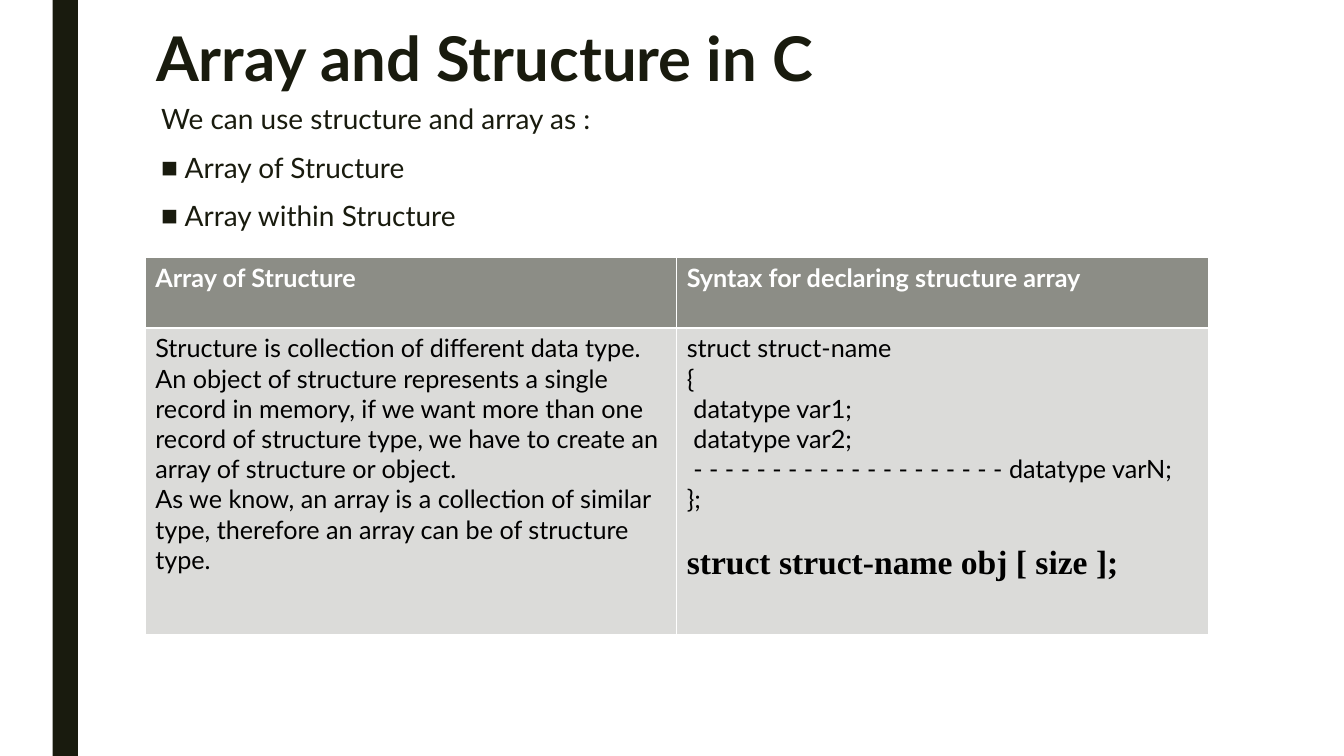
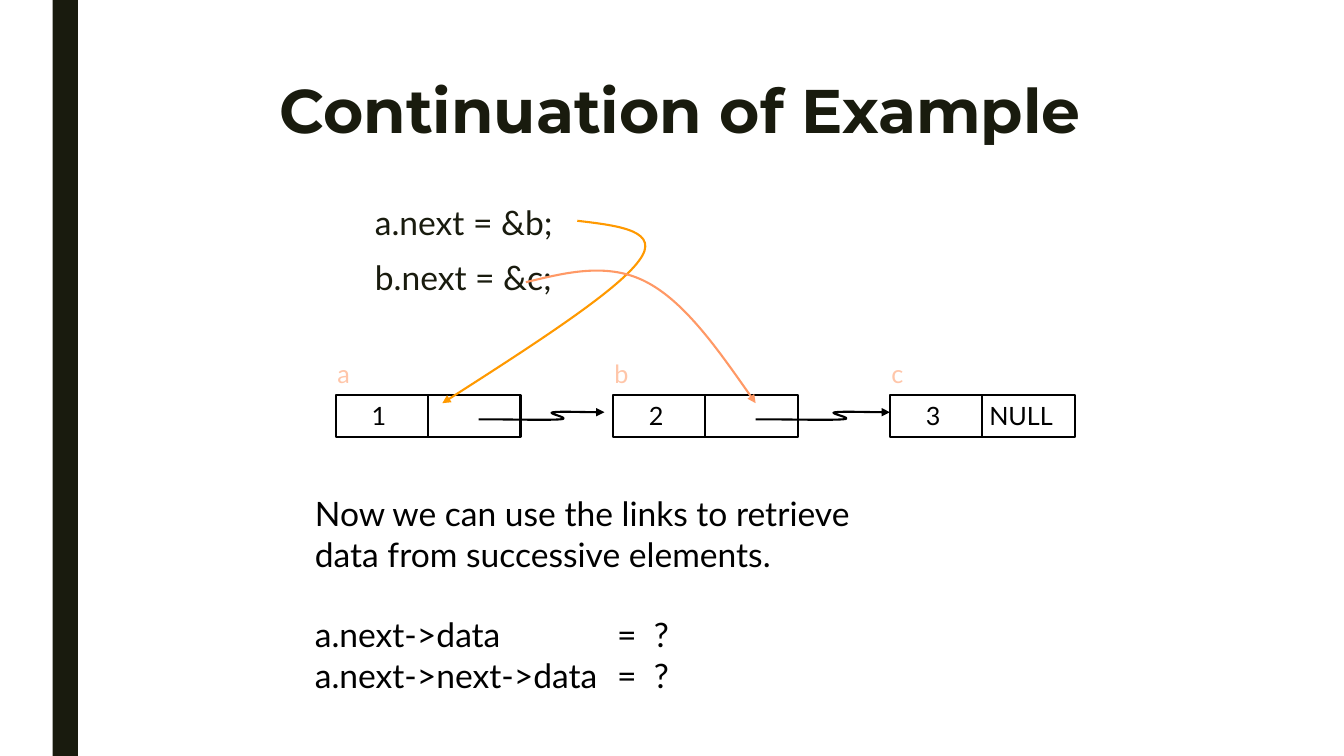
from dataclasses import dataclass, replace

from lxml import etree
from pptx import Presentation
from pptx import util as u
from pptx.dml.color import RGBColor
from pptx.enum import shapes, text
from pptx.oxml.ns import qn

UNIT = u.Inches(1) / 12  # one column or row of the layout grid
INK, BLACK, WHITE = "191B0E", "000000", "FFFFFF"
HEADER_GRAY, CELL_GRAY = "8C8D86", "DBDBD9"
PEACH, AMBER, CORAL = "FFC6A9", "FF9900", "FF9966"
LINE_WIDTH = 1.5


@dataclass(frozen=True)
class Box:
    """A place on the grid, in columns and rows."""
    col: float
    row: float
    cols: float
    rows: float

    @property
    def emu(self) -> tuple:
        return tuple(grid(n) for n in (self.col, self.row, self.cols, self.rows))


@dataclass(frozen=True)
class Para:
    words: str
    size: float = 18
    color: str = BLACK
    font: str = "Lato"
    bold: bool = False
    align: object = None
    spacing: float | None = None
    before: float = 0
    after: float = 0
    margin: float = 0
    hanging: float = 0
    bullet: str = ""


@dataclass(frozen=True)
class Node:
    label: str
    value: str
    link: str = ""


TITLE = Para("", 44, INK, bold=True, spacing=0.89)
BODY = Para("", 20, INK, spacing=0.94, before=10, after=2)
BULLET = replace(BODY, margin=2.8, hanging=2.8, bullet="■")
ASSIGNMENT = replace(BODY, size=24, margin=2.05)
HEADING = Para("", color=WHITE, bold=True)
CODE = Para("", margin=0.8)
NOTE = Para("", 24)

TABLE_BOX = Box(17.3, 30.63, 126.6, 44.9)
TABLE_ROWS = (8.4, 36.5)
TABLE_TEXT = (
    ([replace(HEADING, words="Array of Structure")],
     [replace(HEADING, words="Syntax for declaring structure array")]),
    ([Para("Structure is collection of different data type. An object of structure "
           "represents a single record in memory, if we want more than one record of "
           "structure type, we have to create an array of structure or object."),
      Para("As we know, an array is a collection of similar type, therefore an array "
           "can be of structure type.")],
     [Para("struct struct-name"),
      Para("{"),
      replace(CODE, words="datatype var1;"),
      replace(CODE, words="datatype var2;"),
      replace(CODE, words="- - - - - - - - - - - - - - - - - - - - datatype varN;"),
      Para("};"),
      Para("struct struct-name obj [ size ];", 24, font="Times New Roman",
           bold=True, before=21.6)]),
)

NODES = (Node("a", "1"), Node("b", "2"), Node("c", "3", "NULL"))
NODE_COL, NODE_ROW, NODE_PITCH = 40, 47, 33
NODE_COLS, NODE_ROWS = 22, 5
LINK_ENDS = ((57, 72), (90, 106))
# Bezier points of a link: share of its length, grid row
LINK_WAVE = ((0, 49.92), (0.27, 49.92), (0.55, 50.04), (0.65, 49.92), (0.75, 49.8),
             (0.53, 49.2), (0.59, 49.08), (0.65, 48.96), (0.83, 49.08), (1, 49.08))
POINTERS = (
    (AMBER, ((68.76, 26.28), (73.8, 26.88), (78.84, 27.48), (76.08, 31.08),
             (73.44, 34.68), (63, 41.4), (52.68, 48))),
    (CORAL, ((62.64, 33.6), (67.56, 32.4), (72.48, 31.2), (77.04, 33.6),
             (81.6, 36), (85.8, 42), (90, 48))),
)


def grid(n: float) -> int:
    return round(n * UNIT)


def rgb(color: str) -> RGBColor:
    return RGBColor.from_string(color)


def add_xml(parent, tag: str, **attributes):
    return etree.SubElement(parent, qn(tag), attributes)


def write(frame, paras: list) -> None:
    """Fill a text frame with formatted paragraphs."""
    for i, para in enumerate(paras):
        line = frame.paragraphs[0] if i == 0 else frame.add_paragraph()
        line.text = para.words
        props = line._p.get_or_add_pPr()
        props.set("marL", str(grid(para.margin)))
        props.set("indent", str(-grid(para.hanging)))
        if para.bullet:
            add_xml(add_xml(props, "a:buClr"), "a:srgbClr", val=para.color)
            add_xml(props, "a:buChar", char=para.bullet)
        else:
            add_xml(props, "a:buNone")
        line.alignment = para.align or text.PP_ALIGN.LEFT
        if para.spacing:
            line.line_spacing = para.spacing
        line.space_before, line.space_after = u.Pt(para.before), u.Pt(para.after)
        line.font.name, line.font.size = para.font, u.Pt(para.size)
        line.font.bold = para.bold
        line.font.color.rgb = rgb(para.color)


def fill_placeholder(holder, box: Box, paras: list) -> None:
    holder.left, holder.top, holder.width, holder.height = box.emu
    frame = holder.text_frame
    frame.word_wrap = True
    frame.auto_size = text.MSO_AUTO_SIZE.NONE
    frame.vertical_anchor = text.MSO_ANCHOR.TOP
    write(frame, paras)


def add_text(slide, box: Box, paras: list, wrap: bool = False) -> None:
    frame = slide.shapes.add_textbox(*box.emu).text_frame
    frame.word_wrap = wrap
    frame.auto_size = text.MSO_AUTO_SIZE.SHAPE_TO_FIT_TEXT
    write(frame, paras)


def stroke(line, color: str) -> None:
    line.color.rgb = rgb(color)
    line.width = u.Pt(LINE_WIDTH)


def add_band(prs, slide) -> None:
    """Put the dark side band on the master, so that every slide shows it."""
    band = slide.shapes.add_shape(shapes.MSO_SHAPE.RECTANGLE,
                                  *Box(6.28, 0, 3, 90).emu)
    band.shadow.inherit = False
    band.fill.solid()
    band.fill.fore_color.rgb = rgb(INK)
    band.line.fill.background()
    prs.slide_master.shapes.element.insert(2, band.element)


def set_borders(cell, widths: dict) -> None:
    props = cell._tc.get_or_add_tcPr()
    for i, (side, width) in enumerate(widths.items()):
        border = etree.Element(qn(f"a:{side}"), w=str(u.Pt(width)))
        add_xml(add_xml(border, "a:solidFill"), "a:srgbClr", val=WHITE)
        props.insert(i, border)


def add_comparison(slide) -> None:
    table = slide.shapes.add_table(2, 2, *TABLE_BOX.emu).table
    table.horz_banding = False
    for column in table.columns:
        column.width = grid(TABLE_BOX.cols / 2)
    for r, (height, row) in enumerate(zip(TABLE_ROWS, TABLE_TEXT)):
        table.rows[r].height = grid(height)
        for c, paras in enumerate(row):
            cell = table.cell(r, c)
            cell.fill.solid()
            cell.fill.fore_color.rgb = rgb(CELL_GRAY if r else HEADER_GRAY)
            set_borders(cell, {"lnL": 0.45, "lnR": 0.45,
                               "lnT": 1.47 if r else 0.45,
                               "lnB": 0.45 if r else 1.47})
            write(cell.text_frame, paras)


def add_node(slide, index: int, node: Node) -> None:
    """Draw a list element: data cell, link cell and name."""
    left = NODE_COL + index * NODE_PITCH
    middle = left + NODE_COLS / 2
    frame = slide.shapes.add_shape(shapes.MSO_SHAPE.RECTANGLE,
                                   *Box(left, NODE_ROW, NODE_COLS, NODE_ROWS).emu)
    frame.shadow.inherit = False
    frame.fill.background()
    stroke(frame.line, BLACK)
    divider = slide.shapes.add_connector(
        shapes.MSO_CONNECTOR.STRAIGHT, grid(middle), grid(NODE_ROW),
        grid(middle), grid(NODE_ROW + NODE_ROWS))
    stroke(divider.line, BLACK)
    add_xml(divider.element.spPr, "a:effectLst")
    add_text(slide, Box(left - 1, 42.08, 4.1, 4.8), [Para(node.label, color=PEACH)])
    value_row = NODE_ROW + 0.08
    add_text(slide, Box(left + 3.1, value_row, 4.1, 4.8), [Para(node.value)])
    if node.link:
        add_text(slide, Box(middle - 0.35, value_row, 10, 4.8), [Para(node.link)])


def add_curved_arrow(slide, color: str, points: tuple) -> None:
    """Draw a chain of cubic Bezier curves, each starting where the last one ends."""
    start, *rest = [(grid(x), grid(y)) for x, y in points]
    builder = slide.shapes.build_freeform(*start, scale=1.0)
    builder.add_line_segments(rest, close=False)
    arrow = builder.convert_to_shape()
    outline = arrow.element.find(f".//{qn('a:path')}")
    segments = outline.findall(qn("a:lnTo"))
    for first in range(0, len(segments), 3):
        curve = add_xml(outline, "a:cubicBezTo")
        for segment in segments[first:first + 3]:
            curve.append(segment[0])
            outline.remove(segment)
    arrow.shadow.inherit = False
    arrow.fill.background()
    stroke(arrow.line, color)
    add_xml(arrow.line._get_or_add_ln(), "a:tailEnd", type="triangle")


def build_array_slide(slide) -> None:
    fill_placeholder(slide.shapes.title, Box(17.4, 2.88, 126, 9.6),
                     [replace(TITLE, words="Array and Structure in C")])
    fill_placeholder(slide.placeholders[1], Box(18, 11.84, 129.6, 72.12),
                     [replace(BODY, words="We can use structure and array as :"),
                      replace(BULLET, words="Array of Structure"),
                      replace(BULLET, words="Array within Structure")])
    add_comparison(slide)


def build_link_slide(slide) -> None:
    fill_placeholder(slide.shapes.title, Box(18.04, 9, 126, 19.56),
                     [replace(TITLE, words="Continuation of Example",
                              font="Montserrat", align=text.PP_ALIGN.CENTER)])
    fill_placeholder(slide.placeholders[1], Box(41.4, 23.88, 69.12, 47.04),
                     [replace(ASSIGNMENT, words=words)
                      for words in ("a.next = &b;", "b.next = &c;")])
    for index, node in enumerate(NODES):
        add_node(slide, index, node)
    for start, end in LINK_ENDS:
        add_curved_arrow(slide, BLACK, tuple((start + share * (end - start), row)
                                             for share, row in LINK_WAVE))
    for color, points in POINTERS:
        add_curved_arrow(slide, color, points)
    add_text(slide, Box(36.33, 58.12, 91.68, 25.2),
             [replace(NOTE, words="Now we can use the links to retrieve"),
              replace(NOTE, words="data from successive elements."),
              replace(NOTE, words="a.next->data\t\t\t=  ?", before=28.8),
              replace(NOTE, words="a.next->next->data\t=  ?")], wrap=True)


def main() -> None:
    prs = Presentation()
    prs.slide_width, prs.slide_height = u.Inches(13.34), u.Inches(7.5)
    title_and_content = prs.slide_layouts[1]
    array_slide, link_slide = (prs.slides.add_slide(title_and_content)
                               for _ in range(2))
    add_band(prs, array_slide)
    build_array_slide(array_slide)
    build_link_slide(link_slide)
    prs.save("out.pptx")


if __name__ == "__main__":
    main()
